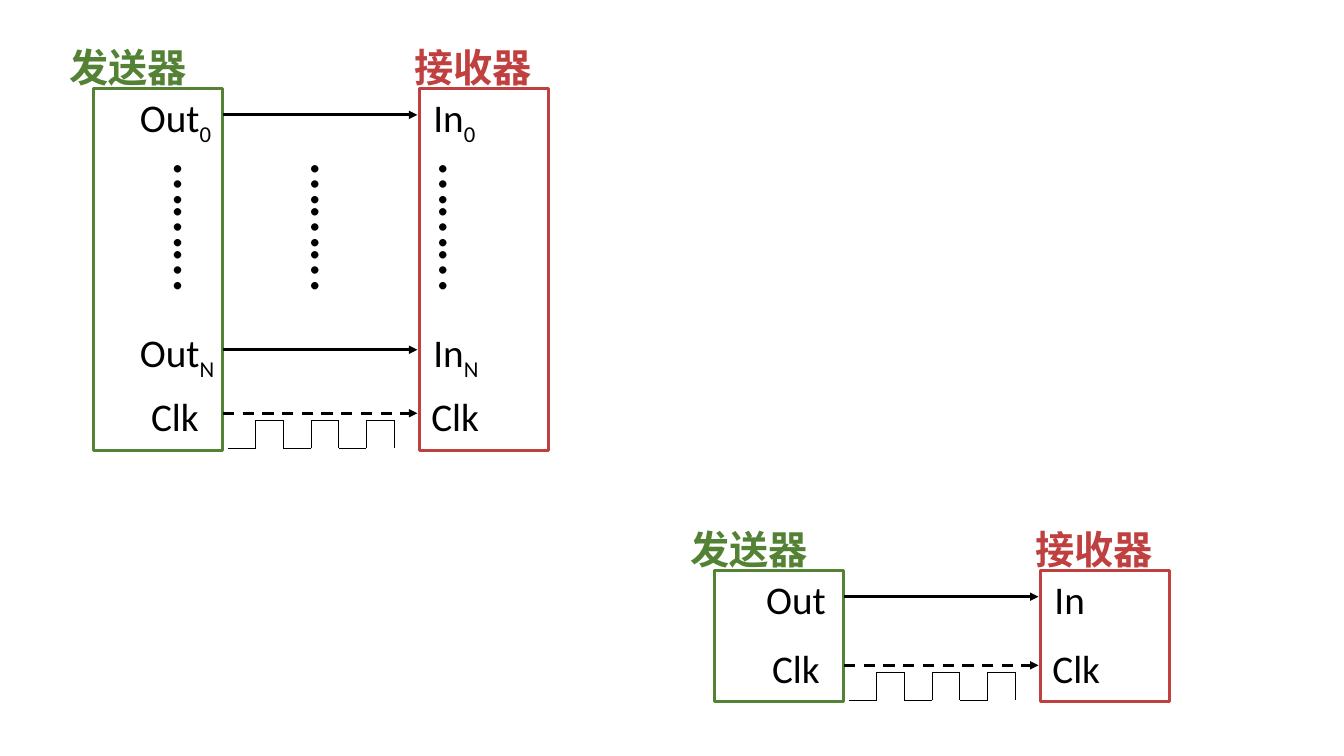
"""Slide comparing a parallel link with a serial link, each with its clock."""
from lxml.etree import SubElement
from pptx import Presentation
from pptx.dml.color import RGBColor
from pptx.enum.dml import MSO_LINE_DASH_STYLE as DASH
from pptx.enum.shapes import MSO_CONNECTOR, MSO_SHAPE
from pptx.enum.text import PP_ALIGN
from pptx.oxml.ns import qn
from pptx.util import Inches, Pt

GREEN = RGBColor(0x54, 0x82, 0x35)
RED = RGBColor(0xC0, 0x40, 0x40)
BLACK = RGBColor(0, 0, 0)

BOX_W, RECEIVER = 1.28, 3.23
ROW_H, ARROW_DY = 0.57, 0.26
STEP, CYCLES = 0.275, 3
DOTS_W, DOTS_H = 1.6, 0.84

prs = Presentation()
prs.slide_width, prs.slide_height = Inches(13.33), Inches(7.5)
s = prs.slides.add_slide(prs.slide_layouts[6])


def add_text(x, y, w, h, text, sub="", size=28, color=BLACK, bold=False):
    sp = s.shapes.add_textbox(*map(Inches, (x, y, w, h)))
    tf = sp.text_frame
    tf.word_wrap = True
    p = tf.paragraphs[0]
    for part, base in ((text, None), (sub, "-25000")):
        if part:
            r = p.add_run()
            r.text = part
            for name, value in {"name": "Calibri", "size": Pt(size), "bold": bold}.items():
                setattr(r.font, name, value)
            r.font.color.rgb = color
            if base:
                r.font._element.set("baseline", base)
    return sp


def add_line(x1, y1, x2, y2, width=0.5, dash=None, arrow=False):
    sp = s.shapes.add_connector(MSO_CONNECTOR.STRAIGHT, *map(Inches, (x1, y1, x2, y2)))
    sp.line.color.rgb = BLACK
    sp.line.width = Pt(width)
    if dash:
        sp.line.dash_style = dash
    if arrow:
        SubElement(sp.line._get_or_add_ln(), qn("a:tailEnd"), type="triangle")
    SubElement(sp._element.spPr, qn("a:effectLst"))


links = [
    (0.93, 0.88, 3.59, [(0, 0.36, "0"), (2.33, 0.36, "N")], 2.96),
    (7.09, 5.66, 1.3, [(0, 0.41, "")], 0.68),
]
for left, top, height, signals, clock_dy in links:
    right = left + RECEIVER
    wire = left + BOX_W, right - 0.02

    for x, title, title_dx, color in ((left, "发送器", -0.34, GREEN), (right, "接收器", -0.15, RED)):
        sp = s.shapes.add_shape(MSO_SHAPE.RECTANGLE, *map(Inches, (x, top, BOX_W, height)))
        sp.shadow.inherit = False
        sp.fill.background()
        sp.line.color.rgb = color
        sp.line.width = Pt(2)
        add_text(x + title_dx, top - 0.5, 1.6, ROW_H, title, color=color, bold=True)

    rows = [(dy, dx, 0.04, "Out", "In", sub, None) for dy, dx, sub in signals]
    rows.append((clock_dy, 0.47, 0.02, "Clk", "Clk", "", DASH.DASH))
    for dy, out_dx, in_dx, out, into, sub, dash in rows:
        y = top + dy
        add_text(left + out_dx, y, 1, ROW_H, out, sub)
        add_text(right + in_dx, y, 1, ROW_H, into, sub)
        add_line(wire[0], y + ARROW_DY, wire[1], y + ARROW_DY, 2, dash, True)

    high = top + clock_dy + 0.33
    low = high + STEP
    for i in range(CYCLES):
        x0 = left + 1.33 + 2 * i * STEP
        x1, x2 = x0 + STEP, x0 + 2 * STEP
        add_line(x0, low, x1, low)
        add_line(x1, low, x1, high)
        add_line(x1, high, x2, high)
        add_line(x2, low, x2, high)

for center in (1.97, 3.33, 4.6):
    sp = add_text(center - DOTS_W / 2, 1.84, DOTS_W, DOTS_H, "………", size=44)
    sp.rotation = 90
    sp.text_frame.paragraphs[0].alignment = PP_ALIGN.CENTER

prs.save("out.pptx")
